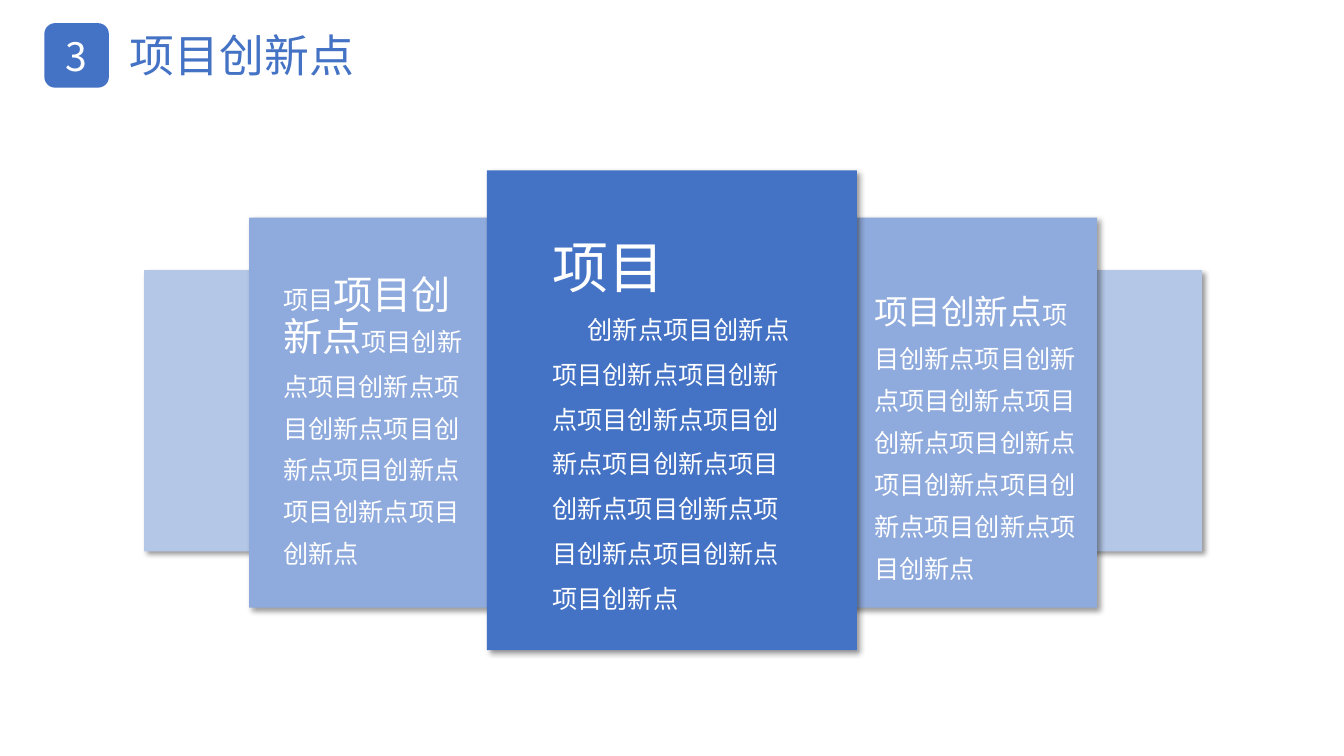
from pptx import Presentation
from pptx.dml.color import RGBColor
from pptx.enum.shapes import MSO_SHAPE as SHAPE
from pptx.enum.text import MSO_ANCHOR as ANCHOR, MSO_AUTO_SIZE as AUTO, PP_ALIGN as ALIGN
from pptx.oxml import parse_xml
from pptx.oxml.ns import nsdecls, qn
from pptx.util import Inches, Pt

FONT = "Noto Sans CJK SC"
BLUE = RGBColor(0x44, 0x72, 0xC4)
MID_BLUE = RGBColor(0x8F, 0xAA, 0xDC)
PALE_BLUE = RGBColor(0xB4, 0xC7, 0xE7)
WHITE = RGBColor(0xFF, 0xFF, 0xFF)

TOPIC = "项目创新点"
SHADOW = (
    f'<a:effectLst {nsdecls("a")}>'
    '<a:outerShdw blurRad="50800" dist="38100" dir="2700000" algn="tl" rotWithShape="0">'
    '<a:prstClr val="black"><a:alpha val="40000"/></a:prstClr>'
    '</a:outerShdw></a:effectLst>'
)


def add_block(slide, kind, box, color):
    sp = slide.shapes.add_shape(kind, *map(Inches, box))
    sp.shadow.inherit = False
    sp.fill.solid()
    sp.fill.fore_color.rgb = color
    sp.line.fill.background()
    return sp


def add_card(slide, box, color):
    sp = add_block(slide, SHAPE.RECTANGLE, box, color)
    effects = sp._element.spPr.find(qn("a:effectLst"))
    effects.getparent().replace(effects, parse_xml(SHADOW))


def write(p, runs, color, line=None, indent=0):
    if indent:
        p._p.get_or_add_pPr().set("indent", str(Inches(indent)))
    if line:
        p.line_spacing = Pt(line)
    p.font.name = FONT
    p.font.color.rgb = color
    for text, size in runs:
        r = p.add_run()
        r.text = text
        r.font.size = Pt(size)
        r.font.name = FONT
        ea = parse_xml(f'<a:ea {nsdecls("a")} typeface="{FONT}"/>')
        r.font._element.find(qn("a:latin")).addnext(ea)


def add_text(slide, box, paragraphs, color, line=None):
    tf = slide.shapes.add_textbox(*map(Inches, box)).text_frame
    tf.word_wrap = True
    tf.auto_size = AUTO.SHAPE_TO_FIT_TEXT
    for i, (runs, indent) in enumerate(paragraphs):
        p = tf.add_paragraph() if i else tf.paragraphs[0]
        write(p, runs, color, line, indent)


def add_header(slide, left, top, number, title):
    side = 0.64
    badge = add_block(slide, SHAPE.ROUNDED_RECTANGLE, (left, top, side, side), BLUE)
    tf = badge.text_frame
    tf.vertical_anchor = ANCHOR.MIDDLE
    tf.paragraphs[0].alignment = ALIGN.CENTER
    write(tf.paragraphs[0], [(number, 28)], WHITE)
    add_text(slide, (left + 0.75, top, 4.85, side), [([(title, 32)], 0)], BLUE)


def add_panels(slide, left, top, width):
    def add_pair(inset, drop, w, h, color):
        for x in (left + width - inset - w, left + inset):
            add_card(slide, (x, top + drop, w, h), color)

    add_pair(0, 0.99, 1.47, 2.79, PALE_BLUE)
    add_pair(1.04, 0.47, 2.89, 3.87, MID_BLUE)
    add_card(slide, (left + 3.4, top, 3.67, 4.76), BLUE)

    add_text(slide, (left + 3.95, top + 0.79, 2.63, 3.62),
             [([("项目", 40)], 0), ([("创新点" + TOPIC * 11, 18)], 0.35)], WHITE, 32)
    add_text(slide, (left + 1.28, top + 0.99, 2.18, 2.98),
             [([("项目", 18), (TOPIC, 28), (TOPIC * 7, 18)], 0)], WHITE, 30)
    add_text(slide, (left + 7.14, top + 1.13, 2.35, 2.98),
             [([(TOPIC, 24), (TOPIC * 9, 18)], 0)], WHITE, 30)


def main():
    prs = Presentation()
    prs.slide_width, prs.slide_height = Inches(13.33), Inches(7.5)
    s = prs.slides.add_slide(prs.slide_layouts[6])
    add_panels(s, 1.43, 1.69, 10.49)
    add_header(s, 0.44, 0.23, "3", TOPIC)
    prs.save("out.pptx")


if __name__ == "__main__":
    main()
